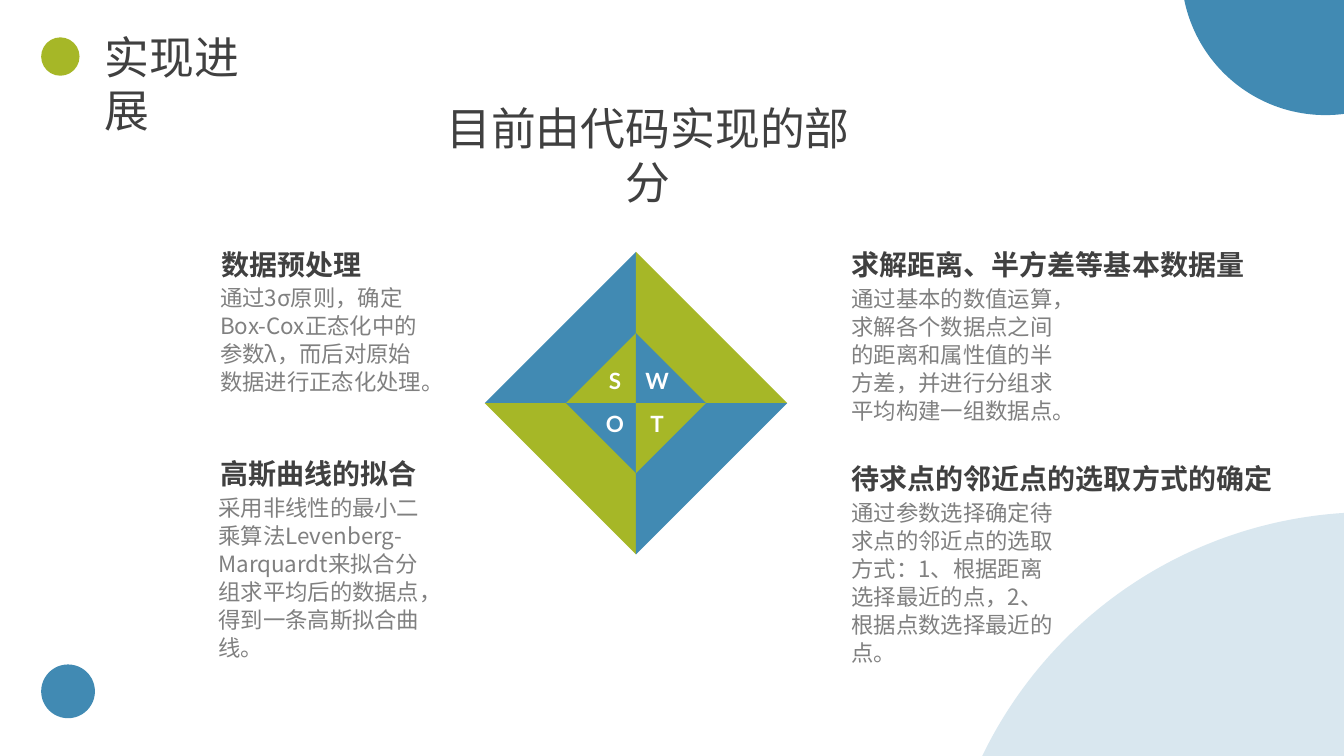
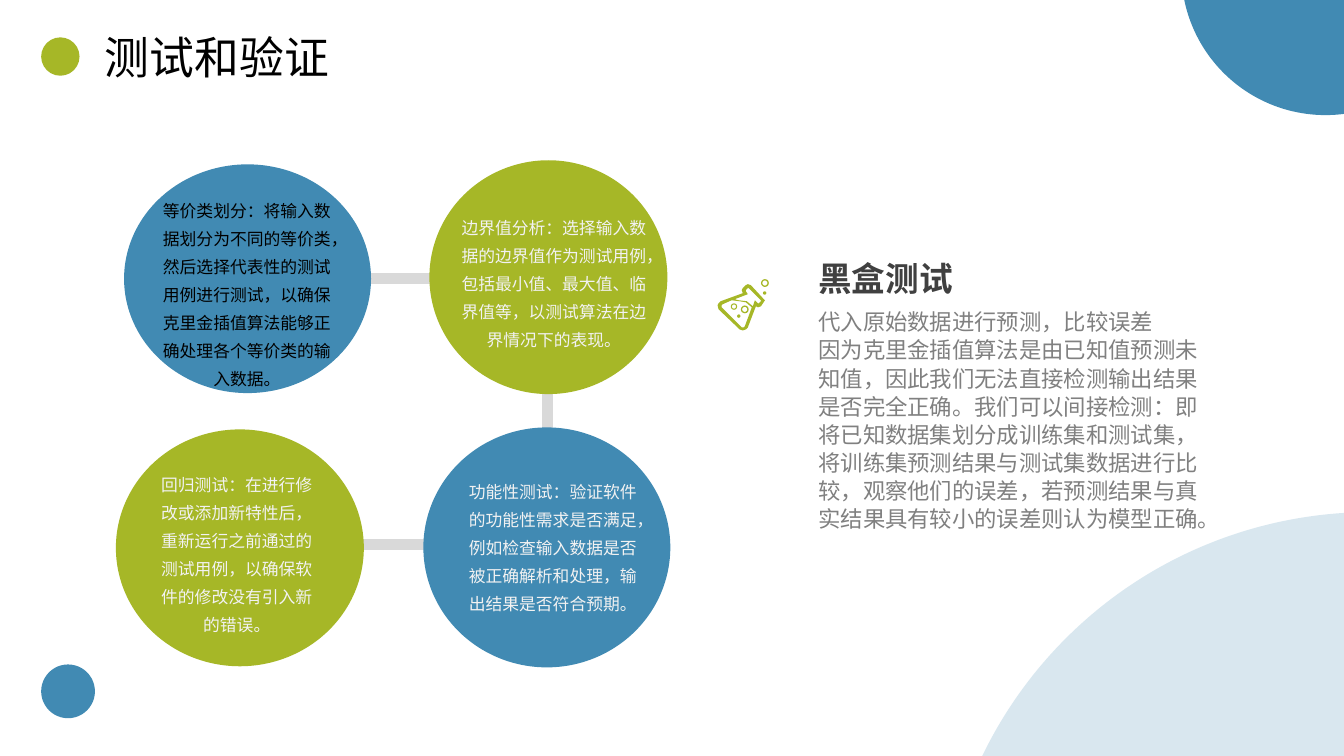
from lxml import etree
from pptx import Presentation
from pptx.dml.color import RGBColor
from pptx.enum import lang, shapes, text
from pptx.oxml.ns import qn
from pptx.util import Pt

S, A = shapes.MSO_SHAPE, text.PP_ALIGN


class Theme:
    blue, green, bar = "418AB3", "A6B727", "D9D9D9"
    dark, grey, pale, white, black = "404040", "808080", "F2F2F2", "FFFFFF", "000000"
    cjk, latin, heading = "Noto Sans CJK SC", "Lato", "Arial"
    title = dict(size=32, color=dark)
    item = dict(size=20, color=dark, bold=True)
    topic = dict(size=24, color=dark, bold=True)
    body = dict(size=16, color=grey, spacing=20)
    bubble = dict(size=12, spacing=20, align=A.CENTER)
    letter = dict(size=16, color=white, bold=True, font=latin, align=A.CENTER)


# Circles on every slide: left, top, diameter, colour, opacity in percent
DECOR = [
    (671, 365.8, 616.3, Theme.blue, 20),
    (843.8, -123.8, 206, Theme.blue, 100),
    (29.4, 474.6, 38.4, Theme.blue, 100),
    (29.4, 26.7, 27.4, Theme.green, 100),
]

PROGRESS_TITLE = "实现进展"
PROGRESS_SUBTITLE = "目前由代码实现的部分"
# heading, left, top; description, left, top
PROGRESS_ITEMS = [
    ("数据预处理", 151.2, 173.5,
     "通过3σ原则，确定Box-Cox正态化中的参数λ，而后对原始数据进行正态化处理。", 150.3, 198.7),
    ("求解距离、半方差等基本数据量", 601.2, 173.2,
     "通过基本的数值运算，求解各个数据点之间的距离和属性值的半方差，并进行分组求平均构建一组数据点。",
     601.2, 199.4),
    ("高斯曲线的拟合", 150.4, 322.3,
     "采用非线性的最小二乘算法Levenberg-Marquardt来拟合分组求平均后的数据点，得到一条高斯拟合曲线。",
     149, 348.5),
    ("待求点的邻近点的选取方式的确定", 601.2, 326,
     "通过参数选择确定待求点的邻近点的选取方式：1、根据距离选择最近的点，2、根据点数选择最近的点。",
     601.2, 352),
]
DIAMOND_CENTER = (454.3, 288)
# letter, column, row, outer colour, inner colour
QUADRANTS = [
    ("S", 0, 0, Theme.blue, Theme.green),
    ("W", 1, 0, Theme.green, Theme.blue),
    ("O", 0, 1, Theme.green, Theme.blue),
    ("T", 1, 1, Theme.blue, Theme.green),
]

TEST_TITLE = "测试和验证"
TEST_TOPIC = "黑盒测试"
TEST_BODY = [
    "代入原始数据进行预测，比较误差",
    "因为克里金插值算法是由已知值预测未知值，因此我们无法直接检测输出结果是否完全正确。"
    "我们可以间接检测：即将已知数据集划分成训练集和测试集，将训练集预测结果与测试集数据进行比较，"
    "观察他们的误差，若预测结果与真实结果具有较小的误差则认为模型正确。",
]
# circle box, fill, text box, text colour, text
TEST_BUBBLES = [
    ((88.6, 117.4, 176.4, 163.4), Theme.blue, (105.8, 133.9, 141.2, 116), Theme.black,
     "等价类划分：将输入数据划分为不同的等价类，然后选择代表性的测试用例进行测试，"
     "以确保克里金插值算法能够正确处理各个等价类的输入数据。"),
    ((306.7, 114.5, 170, 167), Theme.green, (320.4, 146, 150.5, 106.6), Theme.pale,
     "边界值分析：选择输入数据的边界值作为测试用例，包括最小值、最大值、临界值等，"
     "以测试算法在边界情况下的表现。"),
    ((82.8, 306.7, 177.1, 169.2), Theme.green, (105.8, 329.9, 126.7, 127.4), Theme.pale,
     "回归测试：在进行修改或添加新特性后，重新运行之前通过的测试用例，"
     "以确保软件的修改没有引入新的错误。"),
    ((302.4, 305.3, 176.4, 171.4), Theme.blue, (325.4, 334.8, 139, 107.3), Theme.pale,
     "功能性测试：验证软件的功能性需求是否满足，例如检查输入数据是否被正确解析和处理，"
     "输出结果是否符合预期。"),
]
TEST_LINKS = [(214, 199, 370, 199), (222, 388.7, 378, 388.7), (391.3, 228, 391.3, 384)]

# Flask contours in units of 0.72 pt: outline, empty neck, liquid
FLASK_ORIGIN, FLASK_UNIT = (512.6, 203), 0.72
FLASK = [
    [(33, 1), (30, 0), (28, 1), (25, 4), (24, 6), (25, 9), (3, 17), (1, 19), (0, 21), (1, 25),
     (22, 45), (25, 46), (28, 45), (30, 43), (38, 22), (40, 23), (43, 22), (45, 19), (47, 16),
     (45, 14)],
    [(43, 17), (41, 19), (40, 19), (37, 16), (35, 22), (29, 17), (21, 16), (17, 15), (30, 10),
     (28, 7), (28, 6), (30, 4), (31, 4), (43, 16)],
    [(27, 42), (26, 43), (24, 43), (4, 23), (4, 21), (5, 20), (14, 16), (22, 17), (28, 18),
     (34, 23)],
]
# shape, left, top, diameter
FLASK_BUBBLES = [
    (S.DONUT, 529.2, 218.2, 5.6), (S.DONUT, 543.6, 199.4, 5.6), (S.DONUT, 522, 216.7, 4.6),
    (S.OVAL, 526.5, 224.6, 2.4), (S.OVAL, 545, 208.1, 2.4),
]


def place(sp, x, y, w, h):
    for name, value in dict(left=x, top=y, width=w, height=h).items():
        setattr(sp, name, Pt(value))


def paint(sp, color, opacity=100):
    sp.shadow.inherit = False
    sp.fill.solid()
    sp.fill.fore_color.rgb = RGBColor.from_string(color)
    sp.line.fill.background()
    if opacity < 100:
        clr = sp.fill._xPr.find(".//" + qn("a:srgbClr"))
        etree.SubElement(clr, qn("a:alpha"), val=str(opacity * 1000))
    return sp


def add_shape(slide, kind, x, y, w, h, color, opacity=100):
    return paint(slide.shapes.add_shape(kind, Pt(x), Pt(y), Pt(w), Pt(h)), color, opacity)


def write(sp, lines, size, color, bold=False, font=Theme.cjk, align=A.LEFT, spacing=None):
    tf = sp.text_frame
    for name, value in dict(word_wrap=True, auto_size=text.MSO_AUTO_SIZE.NONE,
                            vertical_anchor=text.MSO_ANCHOR.TOP).items():
        setattr(tf, name, value)
    for i, line in enumerate(lines):
        p = tf.add_paragraph() if i else tf.paragraphs[0]
        p.alignment, p.space_before = align, Pt(0)
        if spacing:
            p.line_spacing = Pt(spacing)
        r = p.add_run()
        r.text = line
        for name, value in dict(size=Pt(size), bold=bold, name=font,
                                language_id=lang.MSO_LANGUAGE_ID.SIMPLIFIED_CHINESE).items():
            setattr(r.font, name, value)
        r.font.color.rgb = RGBColor.from_string(color)
        etree.SubElement(r._r.get_or_add_rPr(), qn("a:ea"), typeface=Theme.cjk)


def add_text(slide, line, x, y, w, h, **style):
    write(slide.shapes.add_textbox(Pt(x), Pt(y), Pt(w), Pt(h)), [line], **style)


def start_slide(prs, layout, title, width, **style):
    """Add a slide with the shared circles and the title."""
    slide = prs.slides.add_slide(prs.slide_layouts[layout])
    for x, y, d, color, opacity in DECOR:
        add_shape(slide, S.FLOWCHART_CONNECTOR, x, y, d, d, color, opacity)
    place(slide.shapes.title, 67.7, 17.3, width, 45.4)
    write(slide.shapes.title, [title], **{**Theme.title, **style})
    return slide


def add_triangle(slide, col, row, side, color):
    """Add one quarter of a diamond, its right angle at the centre."""
    cx, cy = DIAMOND_CENTER
    sp = add_shape(slide, S.RIGHT_TRIANGLE, cx - side * (1 - col), cy - side * (1 - row),
                   side, side, color)
    sp.rotation = 180 * row
    if col == row:
        sp._element.spPr.xfrm.set("flipH", "1")


def add_diamond(slide):
    cx, cy = DIAMOND_CENTER
    for _, col, row, outer, inner in QUADRANTS:
        add_triangle(slide, col, row, 108, outer)
        add_triangle(slide, col, row, 50, inner)
    for letter, col, row, _, _ in QUADRANTS:
        add_text(slide, letter, cx - 35 + 30 * col, cy - 29.5 + 31 * row, 40, 26, **Theme.letter)


def add_flask(slide):
    (start, *rest), *holes = FLASK
    fb = slide.shapes.build_freeform(*start, scale=Pt(FLASK_UNIT))
    fb.add_line_segments(rest)
    for first, *points in holes:
        fb.move_to(*first)
        fb.add_line_segments(points)
    paint(fb.convert_to_shape(*map(Pt, FLASK_ORIGIN)), Theme.green)
    for kind, x, y, d in FLASK_BUBBLES:
        sp = add_shape(slide, kind, x, y, d, d, Theme.green)
        if kind == S.DONUT:
            sp.adjustments[0] = 0.17


def add_link(slide, *ends):
    c = slide.shapes.add_connector(shapes.MSO_CONNECTOR.STRAIGHT, *map(Pt, ends))
    c.line.width = Pt(8)
    c.line.color.rgb = RGBColor.from_string(Theme.bar)
    etree.SubElement(c._element.spPr, qn("a:effectLst"))


def build_progress(prs):
    slide = start_slide(prs, 5, PROGRESS_TITLE, 136)
    add_diamond(slide)
    add_text(slide, PROGRESS_SUBTITLE, 300.5, 68.4, 325, 46, align=A.CENTER, **Theme.title)
    for head, hx, hy, body, bx, by in PROGRESS_ITEMS:
        add_text(slide, head, hx, hy, 325, 31, **Theme.item)
        add_text(slide, body, bx, by, 158.5, 128, **Theme.body)


def build_testing(prs):
    slide = start_slide(prs, 1, TEST_TITLE, 200, color=Theme.black, font=Theme.heading)
    for link in TEST_LINKS:
        add_link(slide, *link)
    for circle, fill, box, color, line in TEST_BUBBLES:
        add_shape(slide, S.OVAL, *circle, fill)
        add_text(slide, line, *box, color=color, **Theme.bubble)
    add_flask(slide)
    add_text(slide, TEST_TOPIC, 577.4, 180.7, 160, 36, **Theme.topic)
    body = slide.placeholders[1]
    place(body, 577.4, 216, 287, 208)
    write(body, TEST_BODY, **Theme.body)
    for p in body.text_frame.paragraphs:
        pPr = p._p.get_or_add_pPr()
        for name in ("marL", "indent"):
            pPr.set(name, "0")
        etree.SubElement(pPr, qn("a:buNone"))


def main():
    prs = Presentation()
    prs.slide_width, prs.slide_height = Pt(960), Pt(540)
    build_progress(prs)
    build_testing(prs)
    prs.save("out.pptx")


if __name__ == "__main__":
    main()
